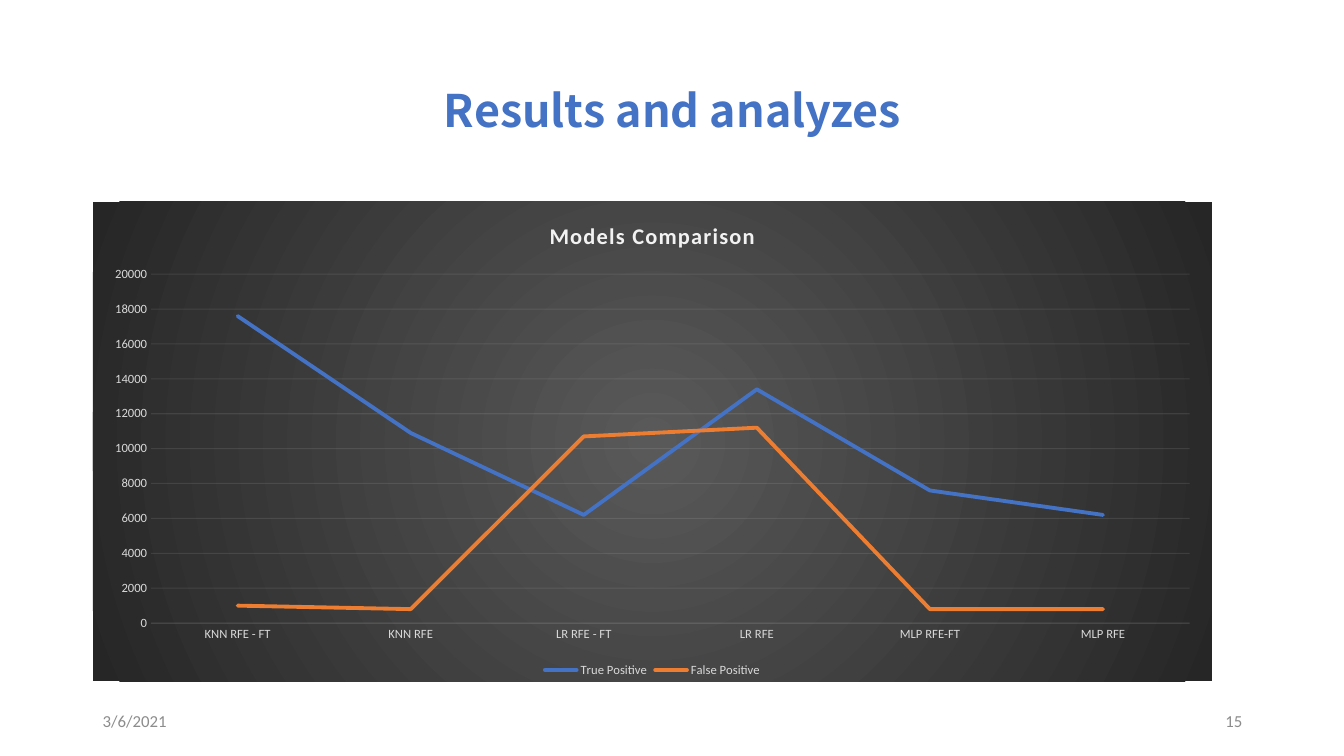
"""Build the model comparison slide with a two-series line chart."""
from lxml import etree
from pptx import Presentation
from pptx.chart.data import CategoryChartData
from pptx.dml.color import RGBColor
from pptx.enum.chart import XL_CHART_TYPE, XL_LEGEND_POSITION, XL_TICK_MARK
from pptx.enum.text import MSO_ANCHOR, PP_ALIGN
from pptx.oxml import parse_xml
from pptx.oxml.ns import qn
from pptx.util import Inches, Pt

LINE = XL_CHART_TYPE.LINE
BOTTOM = XL_LEGEND_POSITION.BOTTOM
NO_TICK = XL_TICK_MARK.NONE
MIDDLE = MSO_ANCHOR.MIDDLE
LEFT, CENTER, RIGHT = PP_ALIGN.LEFT, PP_ALIGN.CENTER, PP_ALIGN.RIGHT
BLUE, ORANGE, PALE, GREY = "4472C4", "ED7D31", "D9D9D9", "8C8C8C"


def rgb(code):
    return RGBColor.from_string(code)


def style(font, name, size, color, bold=False):
    look = {"name": name, "size": Pt(size), "bold": bold}
    for key, value in look.items():
        setattr(font, key, value)
    font.color.rgb = rgb(color)


deck = Presentation()
deck.slide_width, deck.slide_height = Inches(13.33), Inches(7.5)
slide = deck.slides.add_slide(deck.slide_layouts[6])

texts = [
    ("Results and analyzes", (0.92, 0.4, 11.5, 1.45), CENTER,
     ("Noto Sans CJK SC", 32, BLUE, True)),
    ("3/6/2021", (0.92, 6.95, 3, 0.4), LEFT, ("Calibri", 12, GREY)),
    ("15", (9.42, 6.95, 3, 0.4), RIGHT, ("Calibri", 12, GREY)),
]
for words, place, align, look in texts:
    frame = slide.shapes.add_textbox(*map(Inches, place)).text_frame
    frame.word_wrap = True
    frame.vertical_anchor = MIDDLE
    para = frame.paragraphs[0]
    para.alignment = align
    para.line_spacing = 0.9 if align == CENTER else 1.0
    run = para.add_run()
    run.text = words
    style(run.font, *look)

data = CategoryChartData()
data.categories = ["KNN RFE - FT", "KNN RFE", "LR RFE - FT",
                   "LR RFE", "MLP RFE-FT", "MLP RFE"]
data.add_series("True Positive", [17600, 10900, 6200, 13400, 7600, 6200])
data.add_series("False Positive", [1000, 800, 10700, 11200, 800, 800])
place = map(Inches, (0.92, 2, 11.1, 4.76))
chart = slide.shapes.add_chart(LINE, *place, data).chart
style(chart.font, "Calibri", 10, PALE)

chart.has_title = True
chart.chart_title.include_in_layout = False
run = chart.chart_title.text_frame.paragraphs[0].add_run()
run.text = "Models Comparison"
style(run.font, "Calibri", 16, "F2F2F2", True)
run.font._element.set("spc", "100")

chart.has_legend = True
chart.legend.position = BOTTOM
chart.legend.include_in_layout = False
style(chart.legend.font, "Calibri", 9, PALE)

plot = chart.plots[0]
plot.vary_by_categories = False
for series, color in zip(plot.series, (BLUE, ORANGE)):
    series.smooth = False
    series.format.line.width = Pt(2.75)
    series.format.line.color.rgb = rgb(color)
    series.format.line._ln.set("cap", "rnd")

cats, vals = chart.category_axis, chart.value_axis
for axis in (cats, vals):
    axis.major_tick_mark = axis.minor_tick_mark = NO_TICK
    style(axis.tick_labels.font, "Calibri", 9, PALE)
scale = {"minimum_scale": 0, "maximum_scale": 20000, "major_unit": 2000}
for key, value in scale.items():
    setattr(vals, key, value)
vals.format.line.fill.background()
for line in (cats.format.line, vals.major_gridlines.format.line):
    line.width = Pt(0.75)
    line.color.rgb = rgb("F2F2F2")
    tint = line._ln.find(".//" + qn("a:srgbClr"))
    etree.SubElement(tint, qn("a:alpha")).set("val", "10000")

glow = parse_xml(
    '<c:spPr xmlns:c="http://schemas.openxmlformats.org/drawingml/2006/chart"'
    ' xmlns:a="http://schemas.openxmlformats.org/drawingml/2006/main">'
    '<a:gradFill><a:gsLst>'
    '<a:gs pos="0"><a:srgbClr val="595959"/></a:gs>'
    '<a:gs pos="100000"><a:srgbClr val="262626"/></a:gs></a:gsLst>'
    '<a:path path="circle">'
    '<a:fillToRect l="50000" t="50000" r="50000" b="50000"/></a:path>'
    '</a:gradFill><a:ln><a:noFill/></a:ln></c:spPr>')
chart._chartSpace.find(qn("c:chart")).addnext(glow)

deck.save("out.pptx")
